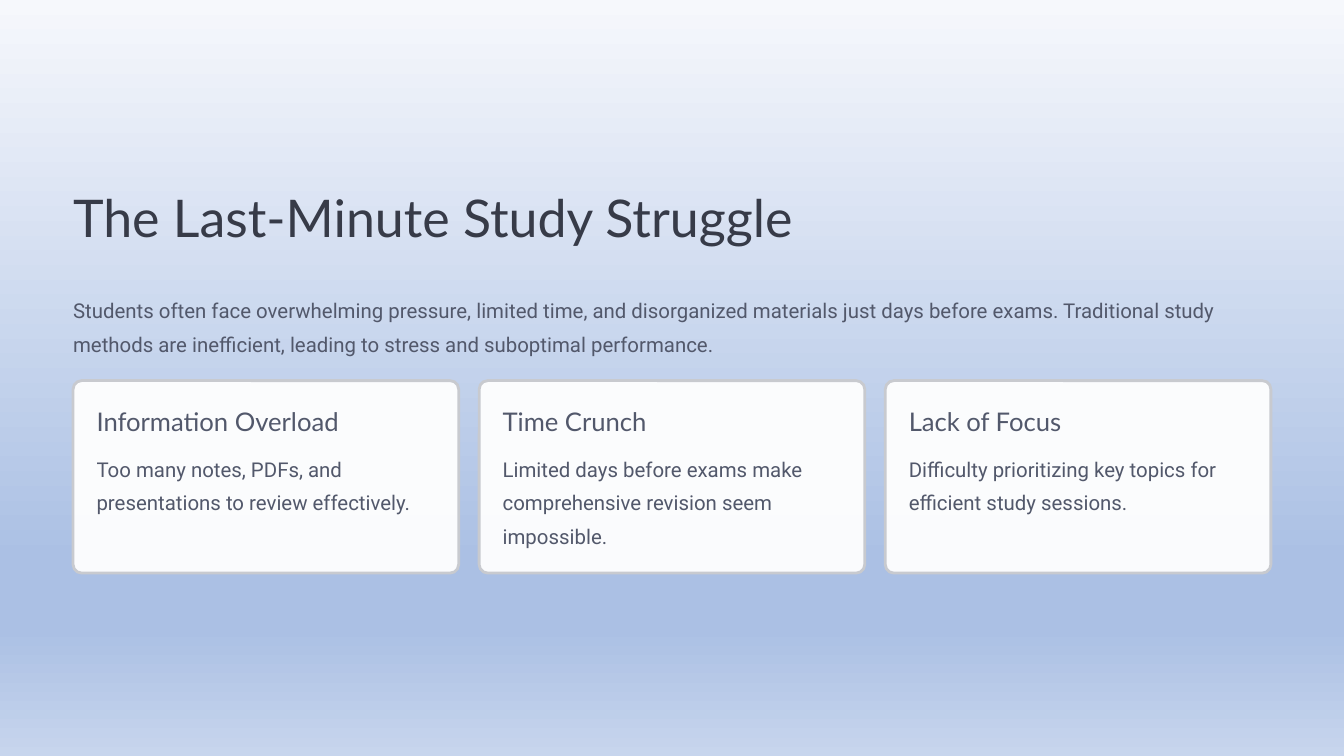
import pptx
import pptx.util
import pptx.dml.color
import pptx.enum.shapes
import pptx.oxml.ns
from lxml import etree

Cm, Pt = pptx.util.Cm, pptx.util.Pt
qn = pptx.oxml.ns.qn
INK, SLATE = "373B48", "52586B"


def color(hex_value):
    return pptx.dml.color.RGBColor.from_string(hex_value)


def add_text(text, left, top, width, height, size=17.5, font="Roboto",
             ink=SLATE, leading=28.5, wrap=True):
    box = slide.shapes.add_textbox(Cm(left), Cm(top), Cm(width), Cm(height))
    frame = box.text_frame
    frame.word_wrap = wrap
    frame.margin_left = frame.margin_right = 0
    frame.margin_top = frame.margin_bottom = 0
    paragraph = frame.paragraphs[0]
    paragraph.line_spacing = Pt(leading)
    run = paragraph.add_run()
    run.text = text
    run.font.size = Pt(size)
    run.font.name = font
    run.font.color.rgb = color(ink)


deck = pptx.Presentation()
deck.slide_width, deck.slide_height = Cm(40.64), Cm(22.86)
slide = deck.slides.add_slide(deck.slide_layouts[6])

# Background gradient, top to bottom
backdrop = slide.background.fill
backdrop.gradient()
backdrop.gradient_angle = 270
stops = slide.element.find(".//" + qn("a:gsLst"))
for old_stop in list(stops):
    stops.remove(old_stop)
for percent, shade in [(0, "F6F8FC"), (74, "ABC0E4"), (83, "ABC0E4"), (100, "C7D5ED")]:
    stop = etree.SubElement(stops, qn("a:gs"), pos=str(percent * 1000))
    etree.SubElement(stop, qn("a:srgbClr"), val=shade)

# Title and introduction
margin = 2.21
add_text("The Last-Minute Study Struggle", margin, 5.54, 23.98, 1.98,
         size=44.5, font="Lato", ink=INK, leading=55.5, wrap=False)
add_text("Students often face overwhelming pressure, limited time, and disorganized "
         "materials just days before exams. Traditional study methods are inefficient, "
         "leading to stress and suboptimal performance.", margin, 8.76, 36.22, 2.01)

# Three struggle cards
struggles = [
    ("Information Overload",
     "Too many notes, PDFs, and presentations to review effectively."),
    ("Time Crunch",
     "Limited days before exams make comprehensive revision seem impossible."),
    ("Lack of Focus",
     "Difficulty prioritizing key topics for efficient study sessions."),
]
card_top, card_width, card_height = 11.51, 11.66, 5.82
gap, padding = 0.62, 0.71
for index, (heading, detail) in enumerate(struggles):
    left = margin + index * (card_width + gap)
    card = slide.shapes.add_shape(
        pptx.enum.shapes.MSO_SHAPE.ROUNDED_RECTANGLE,
        Cm(left), Cm(card_top), Cm(card_width), Cm(card_height))
    card.adjustments[0] = 0.045
    card.shadow.inherit = False
    card.fill.solid()
    card.fill.fore_color.rgb = color("FFFFFF")
    white = card.fill._xPr.find(".//" + qn("a:srgbClr"))
    etree.SubElement(white, qn("a:alpha"), val="95000")
    card.line.color.rgb = color("C8CACF")
    card.line.width = Pt(2.4)

    text_left, text_width = left + padding, card_width - 2 * padding
    add_text(heading, text_left, card_top + padding, 8, 0.99,
             size=22, font="Lato", leading=27.5, wrap=False)
    add_text(detail, text_left, 13.56, text_width, 3.02)

deck.save("out.pptx")
